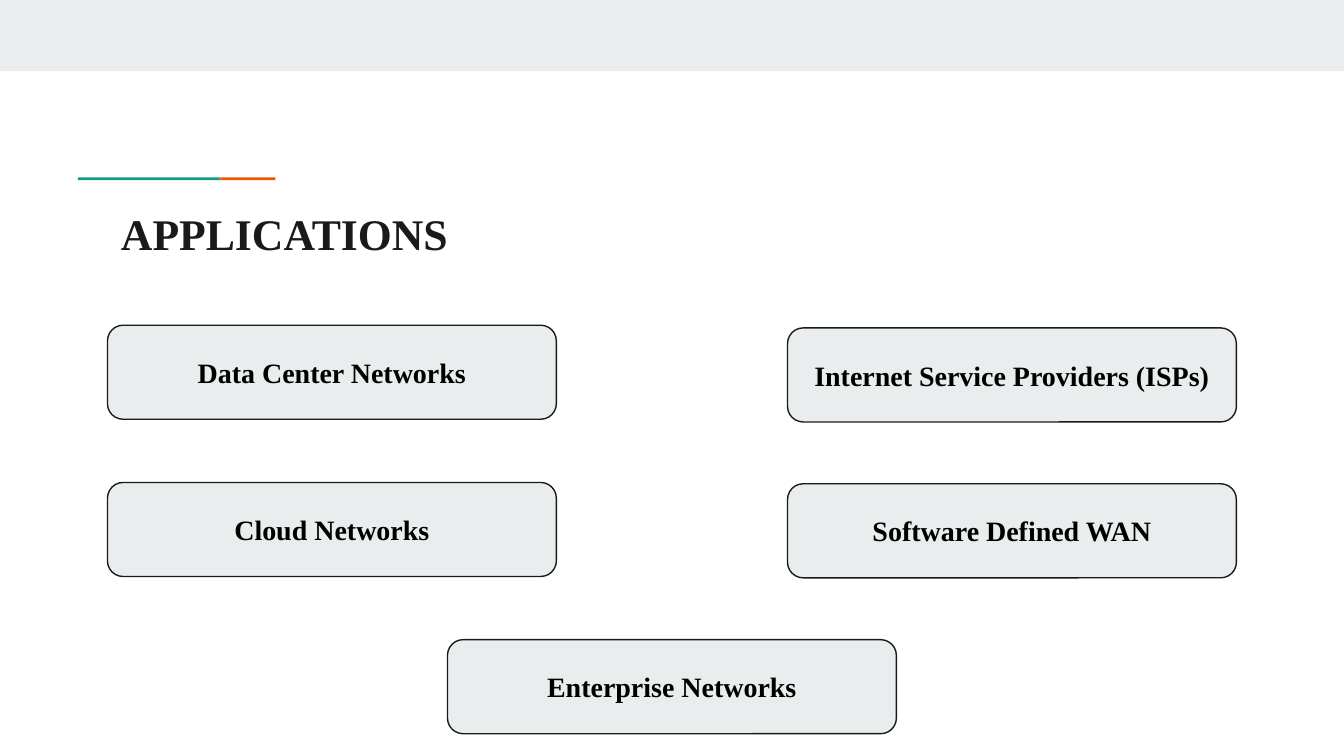
import pptx
import pptx.util
import pptx.dml.color
import pptx.enum.shapes
import pptx.enum.text

Inches = pptx.util.Inches
SHAPE = pptx.enum.shapes.MSO_SHAPE
ANCHOR = pptx.enum.text.MSO_ANCHOR
ALIGN = pptx.enum.text.PP_ALIGN
PALE, INK, TEAL, ORANGE = "E9EDEE", "1A1A1A", "1A9988", "EB5600"


def rgb(value):
    """Turn a hex string into a colour."""
    return pptx.dml.color.RGBColor.from_string(value)


def add_block(s, kind, box, fill, line=None):
    """Add a filled shape, outlined when a line colour is given."""
    sp = s.shapes.add_shape(kind, *map(Inches, box))
    sp.shadow.inherit = False
    sp.fill.solid()
    sp.fill.fore_color.rgb = rgb(fill)
    if line:
        sp.line.color.rgb = rgb(line)
        sp.line.width = pptx.util.Pt(0.75)
    else:
        sp.line.fill.background()
    return sp


def set_text(sp, text, size, color, align, anchor):
    """Write one bold paragraph into a shape."""
    tf = sp.text_frame
    frame = {"word_wrap": True, "auto_size": pptx.enum.text.MSO_AUTO_SIZE.NONE,
             "vertical_anchor": anchor}
    frame.update({f"margin_{side}": Inches(0.1) for side in ("left", "top", "right", "bottom")})
    for name, value in frame.items():
        setattr(tf, name, value)
    p = tf.paragraphs[0]
    p.alignment = align
    r = p.add_run()
    r.text = text
    font = {"name": "Times New Roman", "size": pptx.util.Pt(size), "bold": True}
    for name, value in font.items():
        setattr(r.font, name, value)
    r.font.color.rgb = rgb(color)


def add_accent(s, box):
    """Draw the two-colour rule above the title."""
    left, top, width, height = box
    orange = 0.41
    teal = width - orange
    add_block(s, SHAPE.RECTANGLE, (left, top, teal, height), TEAL)
    add_block(s, SHAPE.RECTANGLE, (left + teal, top, orange, height), ORANGE)


def add_title(s, box, text):
    """Place and format the title placeholder."""
    sp = s.shapes.title
    for name, value in zip(("left", "top", "width", "height"), box):
        setattr(sp, name, Inches(value))
    set_text(sp, text, 23.4, INK, ALIGN.LEFT, ANCHOR.BOTTOM)


def add_cards(s, box):
    """Place two columns of cards and a centred one beneath them."""
    left, top, width, height = box
    card_w, card_h = 3.34, 0.7
    pitch = (height - card_h) / 2
    center, right = (width - card_w) / 2, width - card_w
    alternate, rounded = SHAPE.FLOWCHART_ALTERNATE_PROCESS, SHAPE.ROUNDED_RECTANGLE
    cards = (
        ("Data Center Networks", alternate, 0, 0),
        ("Cloud Networks", alternate, 0, pitch),
        ("Enterprise Networks", alternate, center, 2 * pitch),
        ("Internet Service Providers (ISPs)", alternate, right, 0.02),
        ("Software Defined WAN", rounded, right, pitch + 0.01),
    )
    for text, kind, x, y in cards:
        sp = add_block(s, kind, (left + x, top + y, card_w, card_h), PALE, INK)
        set_text(sp, text, 15, "000000", ALIGN.CENTER, ANCHOR.MIDDLE)


def main():
    """Build and save the slide."""
    prs = pptx.Presentation()
    prs.slide_width, prs.slide_height = Inches(10), Inches(10 * 9 / 16)
    s = prs.slides.add_slide(prs.slide_layouts.get_by_name("Title Only"))
    s.background.fill.solid()
    s.background.fill.fore_color.rgb = rgb("FFFFFF")
    add_block(s, SHAPE.RECTANGLE, (0, 0, 10, 0.53), PALE)
    add_accent(s, (0.58, 1.32, 1.47, 0.02))
    add_title(s, (0.8, 1.44, 8.41, 0.59), "APPLICATIONS")
    add_cards(s, (0.8, 2.42, 8.4, 3.04))
    prs.save("out.pptx")


if __name__ == "__main__":
    main()
